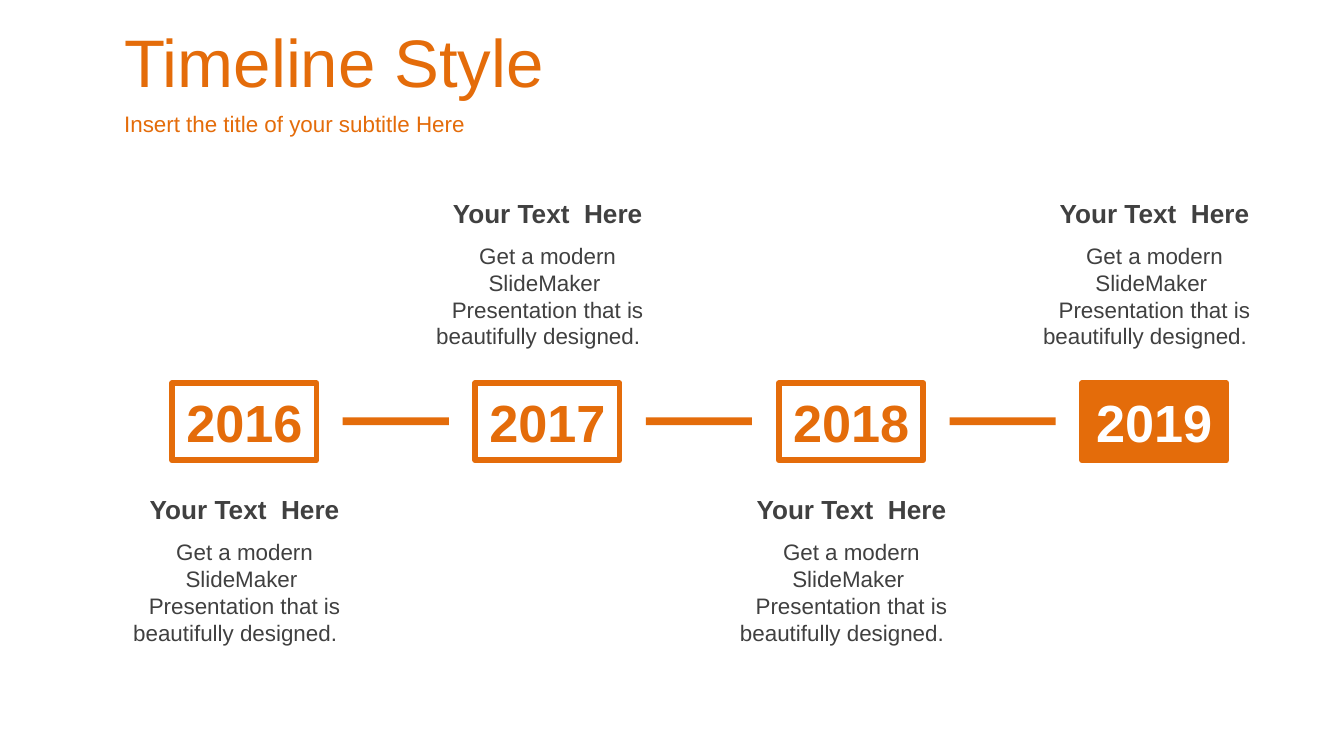
import pptx
import pptx.dml.color
import pptx.enum.shapes
import pptx.enum.text
import pptx.util

PX = 4572  # 200 px to the inch
ORANGE, WHITE, GREY = "E46C0A", "FFFFFF", "404040"
YEARS = ["2016", "2017", "2018", "2019"]
HEADING = "Your Text  Here"
BODY = "Get a modern SlideMaker  Presentation that is beautifully designed.   "
BOX_W, BOX_H = 215, 115
LABEL_W, HEADING_H, BODY_H = 398, 67, 182
LINK_W, LINK_H = 158, 12

ALIGN = pptx.enum.text.PP_ALIGN
RECT = pptx.enum.shapes.MSO_SHAPE.RECTANGLE


def px(*lengths):
    return [pptx.util.Emu(n * PX) for n in lengths]


def rgb(value):
    return pptx.dml.color.RGBColor.from_string(value)


def write(sp, text, size, color, bold=False, align=ALIGN.CENTER, wrap=True):
    tf = sp.text_frame
    frame = {
        "word_wrap": wrap,
        "auto_size": pptx.enum.text.MSO_AUTO_SIZE.NONE,
        "vertical_anchor": pptx.enum.text.MSO_ANCHOR.MIDDLE,
    }
    for name, value in frame.items():
        setattr(tf, name, value)
    p = tf.paragraphs[0]
    p.alignment = align
    r = p.add_run()
    r.text = text
    font = {"name": "Arial", "size": pptx.util.Pt(size), "bold": bold}
    for name, value in font.items():
        setattr(r.font, name, value)
    r.font.color.rgb = rgb(color)


def add_rect(s, x, y, w, h, fill, line=None):
    sp = s.shapes.add_shape(RECT, *px(x, y, w, h))
    sp.shadow.inherit = False
    sp.fill.solid()
    sp.fill.fore_color.rgb = rgb(fill)
    if line:
        sp.line.color.rgb = rgb(line)
        sp.line.width = pptx.util.Pt(3)
    else:
        sp.line.fill.background()
    return sp


def add_header(s, x, y, w):
    title = s.shapes.title
    title.left, title.top, title.width, title.height = px(x, y, w, 126)
    write(title, "Timeline Style", 36, ORANGE, align=ALIGN.LEFT)
    subtitle = s.shapes.add_textbox(*px(x, y + 126, w, 62))
    write(subtitle, "Insert the title of your subtitle Here", 12, ORANGE, align=ALIGN.LEFT)


def add_label(s, x, y):
    """Group a heading with the body text below it."""
    group = s.shapes.add_group_shape()
    body = group.shapes.add_textbox(*px(x, y + HEADING_H - 1, LABEL_W, BODY_H))
    write(body, BODY, 12, GREY)
    heading = group.shapes.add_textbox(*px(x, y, LABEL_W, HEADING_H))
    write(heading, HEADING, 14, GREY, bold=True)


def add_timeline(s, x, y, w):
    """Spread the year boxes over the width, with labels alternately below and above."""
    last = len(YEARS) - 1
    lefts = [x + round(i * (w - BOX_W) / last) for i in range(len(YEARS))]
    for i, (year, left) in enumerate(zip(YEARS, lefts)):
        fill, color = (ORANGE, WHITE) if i == last else (WHITE, ORANGE)
        box = add_rect(s, left, y, BOX_W, BOX_H, fill, ORANGE)
        write(box, year, 28, color, bold=True, wrap=False)
        if i < last:
            gap = (lefts[i + 1] - left - BOX_W - LINK_W) // 2
            add_rect(s, left + BOX_W + gap, y + (BOX_H - LINK_H) // 2, LINK_W, LINK_H, ORANGE)
        label_y = y + 154 if i % 2 == 0 else y - 287
        add_label(s, left - (LABEL_W - BOX_W) // 2, label_y)


def main():
    prs = pptx.Presentation()
    prs.slide_width, prs.slide_height = px(2000, 1125)
    s = prs.slides.add_slide(prs.slide_layouts.get_by_name("Title Only"))
    add_header(s, 165, 27, 1835)
    add_timeline(s, 256, 570, 1569)
    prs.save("out.pptx")


if __name__ == "__main__":
    main()
